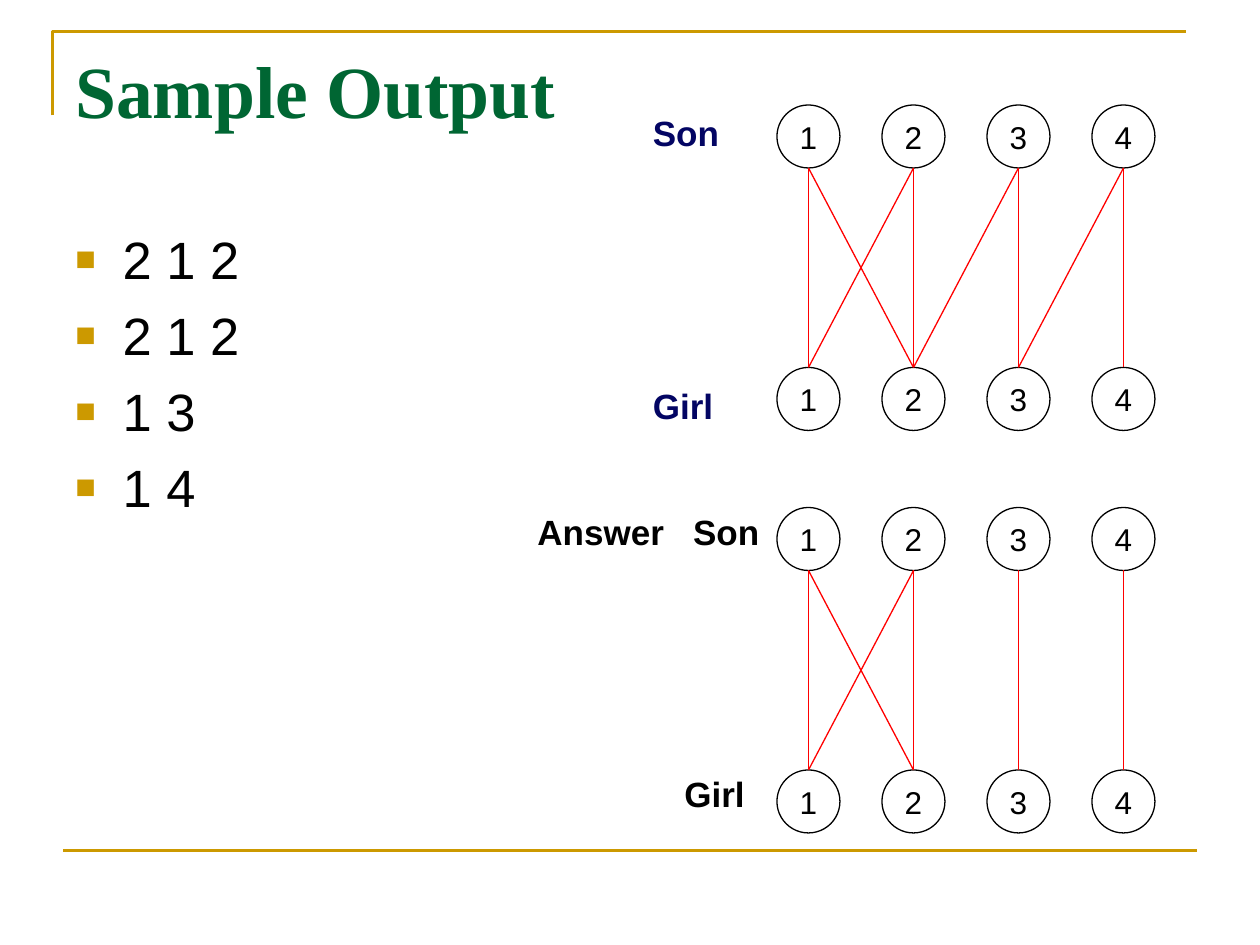
from dataclasses import dataclass

from lxml import etree
from pptx import Presentation
from pptx.dml.color import RGBColor
from pptx.enum.shapes import MSO_CONNECTOR, MSO_SHAPE
from pptx.enum.text import MSO_ANCHOR, MSO_AUTO_SIZE, PP_ALIGN
from pptx.oxml.ns import qn
from pptx.util import Pt

STRAIGHT = MSO_CONNECTOR.STRAIGHT
OVAL = MSO_SHAPE.OVAL
MIDDLE = MSO_ANCHOR.MIDDLE
GROW = MSO_AUTO_SIZE.SHAPE_TO_FIT_TEXT
CENTER = PP_ALIGN.CENTER


@dataclass(frozen=True)
class Theme:
    title_font: str = "Times New Roman"
    body_font: str = "Arial"
    title_color: str = "006633"
    accent: str = "CC9900"
    ink: str = "000000"
    paper: str = "FFFFFF"
    navy: str = "030563"
    edge: str = "FF0000"
    title_size: float = 42
    body_size: float = 30
    label_size: float = 20
    node_size: float = 18
    rule_width: float = 1.5
    thin_width: float = 0.75


class SlideBuilder:
    def __init__(self, slide, theme):
        self.slide = slide
        self.theme = theme

    def style_line(self, line, color, width):
        line.color.rgb = RGBColor.from_string(color)
        line.width = Pt(width)

    def add_run(self, paragraph, text, size, color, font=None, bold=False):
        run = paragraph.add_run()
        run.text = text
        run.font.name = font or self.theme.body_font
        run.font.size = Pt(size)
        run.font.bold = bold
        run.font.color.rgb = RGBColor.from_string(color)

    def text_frame(self, left, top, width, height, wrap=True):
        box = self.slide.shapes.add_textbox(Pt(left), Pt(top), Pt(width), Pt(height))
        box.text_frame.word_wrap = wrap
        return box.text_frame

    def title(self, text, left, top, width, height):
        frame = self.text_frame(left, top, width, height)
        self.add_run(frame.paragraphs[0], text, self.theme.title_size,
                     self.theme.title_color, self.theme.title_font, bold=True)

    def bullets(self, items, left, top, width, height, indent=27):
        frame = self.text_frame(left, top, width, height)
        for index, item in enumerate(items):
            paragraph = frame.add_paragraph() if index else frame.paragraphs[0]
            paragraph.space_before = Pt(7.5)
            self.add_run(paragraph, item, self.theme.body_size, self.theme.ink)
            properties = paragraph._p.get_or_add_pPr()
            properties.set("marL", str(Pt(indent)))
            properties.set("indent", str(Pt(-indent)))
            color = etree.SubElement(properties, qn("a:buClr"))
            etree.SubElement(color, qn("a:srgbClr"), val=self.theme.accent)
            etree.SubElement(properties, qn("a:buSzPct"), val="65000")
            etree.SubElement(properties, qn("a:buFont"), typeface=self.theme.body_font)
            etree.SubElement(properties, qn("a:buChar"), char="■")

    def label(self, text, left, top, width, color):
        frame = self.text_frame(left, top, width, 31.5, wrap=False)
        frame.auto_size = GROW
        self.add_run(frame.paragraphs[0], text, self.theme.label_size, color, bold=True)

    def connector(self, start, end, color, width):
        line = self.slide.shapes.add_connector(STRAIGHT, *map(Pt, start + end))
        self.style_line(line.line, color, width)
        etree.SubElement(line._element.spPr, qn("a:effectLst"))

    def corner_rule(self, points):
        """Draw an open, unfilled outline through the points."""
        start, *others = [(Pt(x), Pt(y)) for x, y in points]
        outline = self.slide.shapes.build_freeform(*start)
        outline.add_line_segments(others, close=False)
        shape = outline.convert_to_shape()
        shape.shadow.inherit = False
        shape.fill.background()
        self.style_line(shape.line, self.theme.accent, self.theme.rule_width)

    def node(self, text, left, top, size):
        shape = self.slide.shapes.add_shape(OVAL, Pt(left), Pt(top), Pt(size), Pt(size))
        shape.shadow.inherit = False
        shape.fill.solid()
        shape.fill.fore_color.rgb = RGBColor.from_string(self.theme.paper)
        self.style_line(shape.line, self.theme.ink, self.theme.thin_width)
        frame = shape.text_frame
        frame.word_wrap = False
        frame.vertical_anchor = MIDDLE
        paragraph = frame.paragraphs[0]
        paragraph.alignment = CENTER
        self.add_run(paragraph, text, self.theme.node_size, self.theme.ink)

    def matching_graph(self, top, edges, left=444, step=60, drop=150, size=36):
        """Draw sons above girls, joined by (son, girl) edges."""
        for row_top in (top, top + drop):
            for number in range(1, 5):
                self.node(str(number), left + (number - 1) * step, row_top, size)
        for son, girl in edges:
            son_x, girl_x = (left + size / 2 + (n - 1) * step for n in (son, girl))
            self.connector((son_x, top + size), (girl_x, top + drop),
                           self.theme.edge, self.theme.thin_width)


def main():
    presentation = Presentation()
    presentation.slide_width = Pt(720)
    presentation.slide_height = Pt(540)
    slide = presentation.slides.add_slide(presentation.slide_layouts[6])
    theme = Theme()
    builder = SlideBuilder(slide, theme)

    builder.corner_rule([(30, 66), (30, 18), (678, 18)])
    builder.connector((36, 486), (684, 486), theme.accent, theme.rule_width)
    builder.title("Sample Output", 36, 22, 648, 90)
    builder.bullets(["2 1 2", "2 1 2", "1 3", "1 4"], 36, 126, 648, 356.4)

    shared_edges = [(1, 1), (1, 2), (2, 1), (2, 2), (3, 3), (4, 4)]
    son_width, girl_width, answer_width = 55, 52, 90

    builder.matching_graph(60, shared_edges + [(3, 2), (4, 3)])
    builder.label("Son", 366, 60, son_width, theme.navy)
    builder.label("Girl", 366, 216, girl_width, theme.navy)

    builder.matching_graph(290, shared_edges)
    builder.label("Answer", 300, 288, answer_width, theme.ink)
    builder.label("Son", 389, 288, son_width, theme.ink)
    builder.label("Girl", 384, 438, girl_width, theme.ink)

    presentation.save("out.pptx")


if __name__ == "__main__":
    main()
